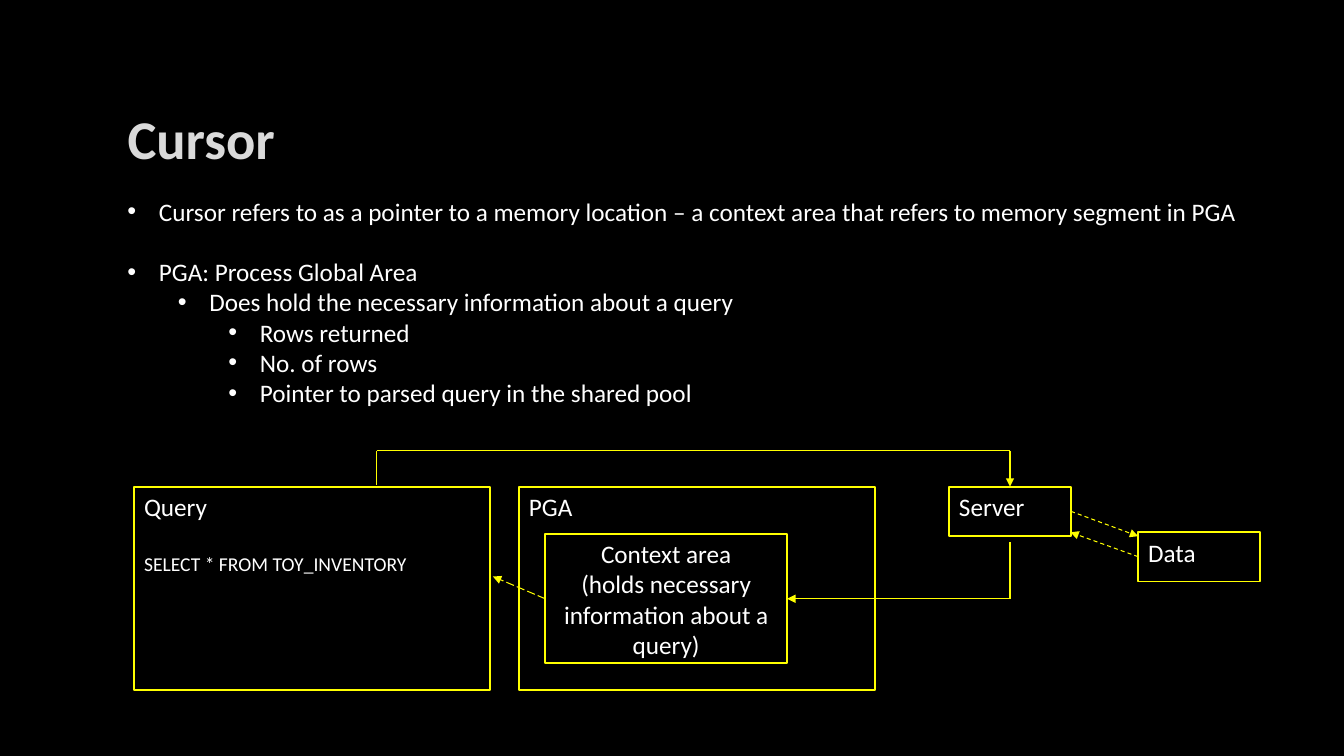
from dataclasses import dataclass
from typing import Optional

from lxml import etree
from pptx import Presentation
from pptx import util as u
from pptx.dml import color
from pptx.enum import dml, shapes, text
from pptx.oxml import ns

COLORS = {"bg": "000000", "title": "DADADA", "outline": "404040",
          "text": "FFFFFF", "line": "FFFF00"}
FONT = "Calibri"
BODY_SIZE = 18
LINE_GAP = 21.6
TOP, LEFT, BOTTOM, RIGHT = range(4)


@dataclass(frozen=True)
class Line:
    text: str
    level: int = 0
    size: float = BODY_SIZE
    before: float = 0


@dataclass(frozen=True)
class Box:
    name: str
    x: float
    y: float
    w: float
    h: float
    lines: tuple[Line, ...]
    centered: bool = False


@dataclass(frozen=True)
class Joint:
    box: str
    side: int


@dataclass(frozen=True)
class Link:
    start: tuple[float, float]
    end: tuple[float, float]
    arrow: bool = False
    dash: Optional[dml.MSO_LINE] = None
    begin_at: Optional[Joint] = None
    end_at: Optional[Joint] = None


BULLETS = (
    Line("Cursor refers to as a pointer to a memory location – a context area "
         "that refers to memory segment in PGA"),
    Line("PGA: Process Global Area", before=LINE_GAP),
    Line("Does hold the necessary information about a query", 1),
    Line("Rows returned", 2),
    Line("No. of rows", 2),
    Line("Pointer to parsed query in the shared pool", 2),
)

ROW_Y = 347.6
PANEL = (254.2, 145.4)
SMALL = (87.1, 35.3)
BOXES = (
    Box("pga", 370.8, ROW_Y, *PANEL, (Line("PGA"),)),
    Box("context", 389.5, 381.6, 172.8, 92.2,
        (Line("Context area"), Line("(holds necessary information about a query)")), True),
    Box("query", 95.8, ROW_Y, *PANEL,
        (Line("Query"), Line("SELECT * FROM TOY_INVENTORY", size=14, before=LINE_GAP))),
    Box("server", 677.9, ROW_Y, *SMALL, (Line("Server"),)),
    Box("data", 813, 380, *SMALL, (Line("Data"),)),
)

QUERY_X, SERVER_X = 269, 721.45
LOOP_Y, CONTEXT_Y = 321.8, 427.7
LINKS = (
    Link((QUERY_X, LOOP_Y), (SERVER_X, LOOP_Y)),
    Link((QUERY_X, 346.3), (QUERY_X, LOOP_Y)),
    Link((SERVER_X, LOOP_Y), (SERVER_X, ROW_Y), True, end_at=Joint("server", TOP)),
    Link((765, 365.25), (813, 383), True, dml.MSO_LINE.DASH,
         begin_at=Joint("server", RIGHT)),
    Link((813, 397.65), (764.6, 380.2), True, dml.MSO_LINE.DASH,
         begin_at=Joint("data", LEFT)),
    Link((SERVER_X, CONTEXT_Y), (562.3, CONTEXT_Y), True, end_at=Joint("context", RIGHT)),
    Link((SERVER_X, CONTEXT_Y), (SERVER_X, 387.4)),
    Link((389.5, CONTEXT_Y), (352.1, 411.8), True, dml.MSO_LINE.LONG_DASH,
         begin_at=Joint("context", LEFT)),
)


def rgb(name: str) -> color.RGBColor:
    return color.RGBColor.from_string(COLORS[name])


def style_run(r, size: float, hue: str = "text", bold: bool = False) -> None:
    r.font.name = FONT
    r.font.size = u.Pt(size)
    r.font.bold = bold
    r.font.color.rgb = rgb(hue)


def write_lines(tf, lines: tuple[Line, ...], align) -> None:
    tf.word_wrap = True
    tf.text = "\n".join(line.text for line in lines)
    for p, line in zip(tf.paragraphs, lines):
        p.alignment = align
        p.level = line.level
        p.space_before = u.Pt(line.before)
        style_run(p.runs[0], line.size)


def add_bullet(p, level: int) -> None:
    pPr = p._p.get_or_add_pPr()
    pPr.set("marL", str(u.Pt(22.5 + 36 * level)))
    pPr.set("indent", str(u.Pt(-22.5)))
    etree.SubElement(pPr, ns.qn("a:buFont"), typeface="Arial")
    etree.SubElement(pPr, ns.qn("a:buChar"), char="•")


def add_title(s) -> None:
    sp = s.shapes.add_textbox(u.Pt(84), u.Pt(60.2), u.Pt(815), u.Pt(76.3))
    tf = sp.text_frame
    tf.word_wrap = True
    tf.vertical_anchor = text.MSO_ANCHOR.MIDDLE
    tf.text = "Cursor"
    r = tf.paragraphs[0].runs[0]
    style_run(r, 39, "title", True)
    ln = etree.Element(ns.qn("a:ln"), w=str(u.Pt(0.75)))
    fill = etree.SubElement(ln, ns.qn("a:solidFill"))
    clr = etree.SubElement(fill, ns.qn("a:srgbClr"), val=COLORS["outline"])
    etree.SubElement(clr, ns.qn("a:alpha"), val="10000")
    r.font._element.insert(0, ln)


def add_bullets(s) -> None:
    sp = s.shapes.add_textbox(u.Pt(84), u.Pt(136.4), u.Pt(849.6), u.Pt(159.8))
    write_lines(sp.text_frame, BULLETS, text.PP_ALIGN.LEFT)
    for p, line in zip(sp.text_frame.paragraphs, BULLETS):
        add_bullet(p, line.level)


def add_box(s, box: Box):
    sp = s.shapes.add_shape(shapes.MSO_SHAPE.RECTANGLE, u.Pt(box.x), u.Pt(box.y),
                            u.Pt(box.w), u.Pt(box.h))
    sp.shadow.inherit = False
    sp.fill.background()
    sp.line.color.rgb = rgb("line")
    sp.line.width = u.Pt(1.25)
    tf = sp.text_frame
    tf.vertical_anchor = text.MSO_ANCHOR.MIDDLE if box.centered else text.MSO_ANCHOR.TOP
    write_lines(tf, box.lines,
                text.PP_ALIGN.CENTER if box.centered else text.PP_ALIGN.LEFT)
    return sp


def add_link(s, link: Link, boxes: dict) -> None:
    cx = s.shapes.add_connector(shapes.MSO_CONNECTOR.STRAIGHT,
                                *map(u.Pt, link.start + link.end))
    if link.begin_at:
        cx.begin_connect(boxes[link.begin_at.box], link.begin_at.side)
    if link.end_at:
        cx.end_connect(boxes[link.end_at.box], link.end_at.side)
    cx.line.color.rgb = rgb("line")
    cx.line.width = u.Pt(0.75)
    if link.dash:
        cx.line.dash_style = link.dash
    if link.arrow:
        etree.SubElement(cx.line._get_or_add_ln(), ns.qn("a:tailEnd"), type="triangle")
    etree.SubElement(cx._element.spPr, ns.qn("a:effectLst"))


def main() -> None:
    prs = Presentation()
    prs.slide_width, prs.slide_height = u.Pt(960), u.Pt(540)
    s = prs.slides.add_slide(prs.slide_layouts[6])
    s.background.fill.solid()
    s.background.fill.fore_color.rgb = rgb("bg")
    add_title(s)
    add_bullets(s)
    boxes = {box.name: add_box(s, box) for box in BOXES}
    for link in LINKS:
        add_link(s, link, boxes)
    prs.save("out.pptx")


if __name__ == "__main__":
    main()
